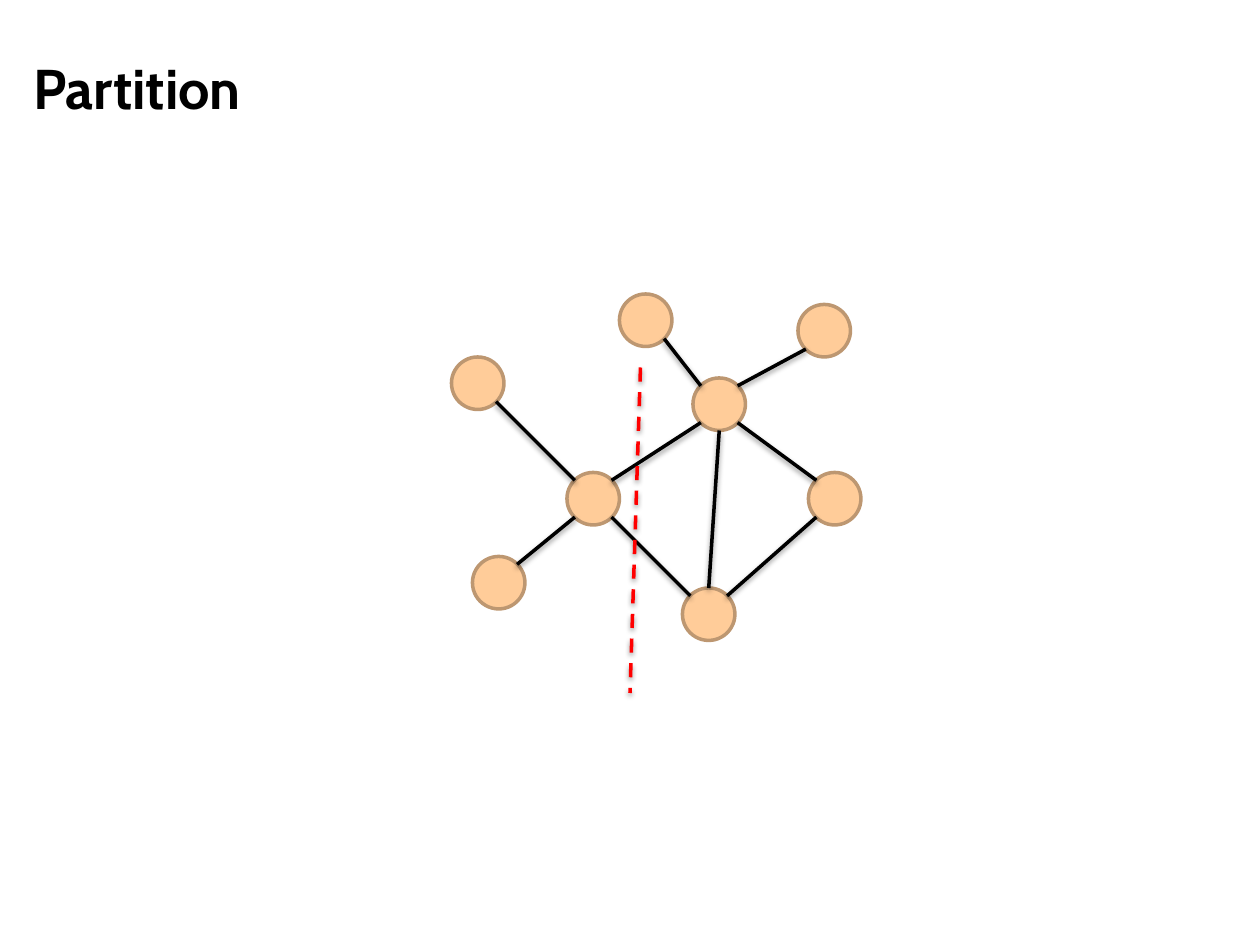
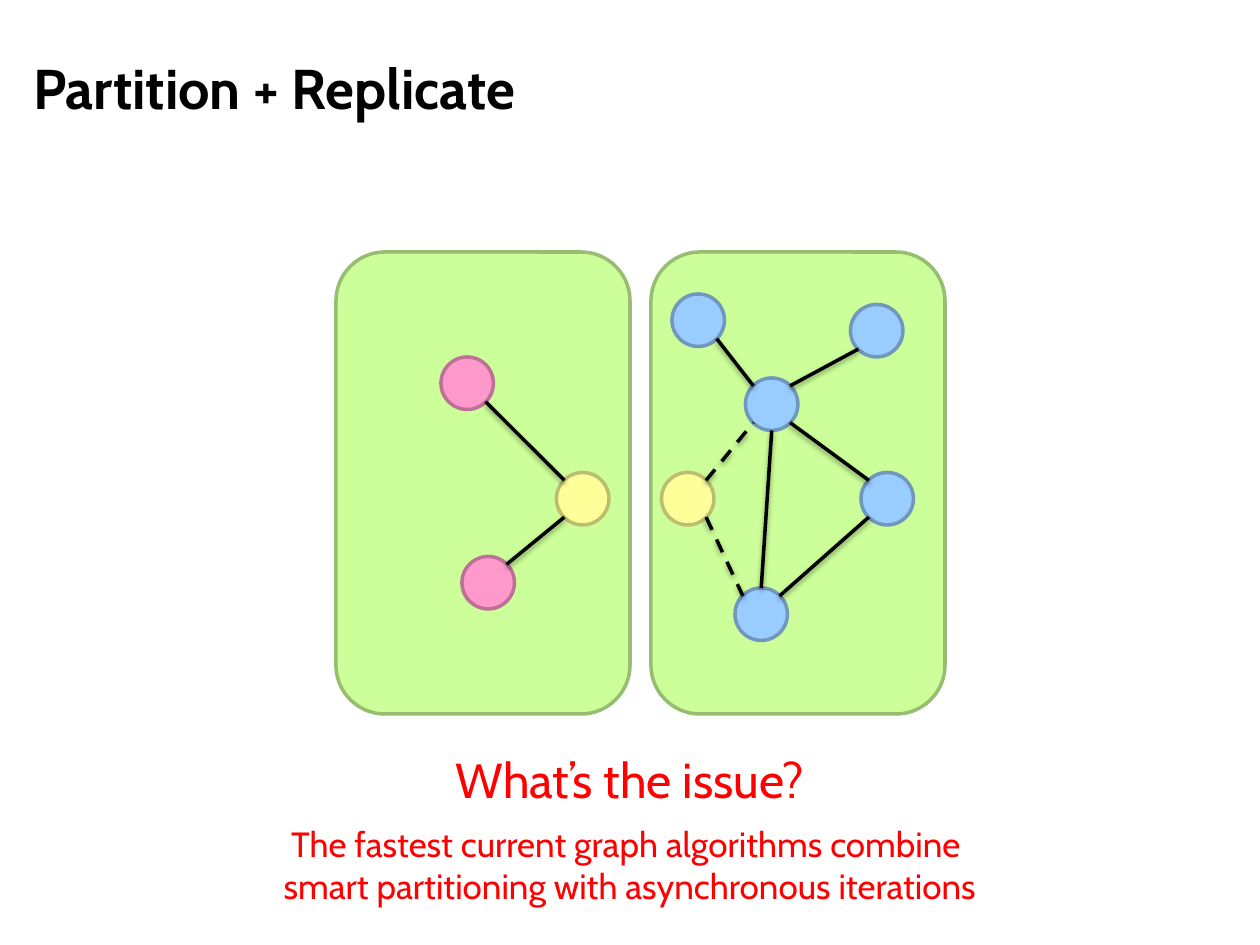
from dataclasses import dataclass

from lxml import etree
from pptx import Presentation
from pptx.dml.color import RGBColor
from pptx.enum.dml import MSO_LINE
from pptx.enum.shapes import MSO_CONNECTOR, MSO_SHAPE
from pptx.enum.text import MSO_ANCHOR, PP_ALIGN
from pptx.oxml.ns import qn
from pptx.util import Emu, Pt

ELLIPSE = MSO_SHAPE.OVAL
ROUNDED = MSO_SHAPE.ROUNDED_RECTANGLE
STRAIGHT = MSO_CONNECTOR.STRAIGHT
DASH = MSO_LINE.DASH
LEFT, CENTER = PP_ALIGN.LEFT, PP_ALIGN.CENTER
TOP, MIDDLE = MSO_ANCHOR.TOP, MSO_ANCHOR.MIDDLE

EMU_PER_PX = 9525
SLIDE_WIDTH, SLIDE_HEIGHT = 960, 720
NODE_SIZE = 40
LINE_WIDTH = Pt(2)
FONT = "Cabin"
COLORS = {
    "ink": "000000",
    "accent": "FF0000",
    "orange": "FFCC99",
    "orange_line": "BD9771",
    "pink": "FF99CC",
    "pink_line": "BD7197",
    "yellow": "FFFF99",
    "yellow_line": "BDBD71",
    "blue": "99CCFF",
    "blue_line": "7197BD",
    "green": "CCFF99",
    "green_line": "97BD71",
}
SITES = {
    "top": (20, 0),
    "bottom": (20, 40),
    "top_left": (6, 6),
    "top_right": (34, 6),
    "bottom_left": (6, 34),
    "bottom_right": (34, 34),
}


@dataclass(frozen=True)
class Box:
    left: int
    top: int
    width: int
    height: int


@dataclass(frozen=True)
class Node:
    left: int
    top: int
    color: str = "orange"

    def moved(self, shift: int, color: str) -> "Node":
        return Node(self.left + shift, self.top, color)

    def site(self, name: str) -> tuple[int, int]:
        dx, dy = SITES[name]
        return self.left + dx, self.top + dy


@dataclass(frozen=True)
class Edge:
    start: str
    start_site: str
    end: str
    end_site: str
    dashed: bool = False


@dataclass(frozen=True)
class Caption:
    lines: tuple[str, ...]
    box: Box
    size: int
    color: str = "accent"
    bold: bool = False
    align: PP_ALIGN = CENTER
    anchor: MSO_ANCHOR = TOP


LEFT_LEAVES = {"west": Node(344, 272), "southwest": Node(360, 424)}
CUT_NODE = Node(432, 360)
RIGHT_NODES = {
    "hub": Node(528, 288),
    "south": Node(520, 448),
    "north": Node(472, 224),
    "northeast": Node(608, 232),
    "east": Node(616, 360),
}
LEFT_EDGES = [
    Edge("west", "bottom_right", "cut", "top_left"),
    Edge("cut", "bottom_left", "southwest", "top_right"),
]
CROSSING_EDGES = [
    Edge("cut", "top_right", "hub", "bottom_left"),
    Edge("cut", "bottom_right", "south", "top_left"),
]
RIGHT_EDGES = [
    Edge("north", "bottom_right", "hub", "top_left"),
    Edge("northeast", "bottom_left", "hub", "top_right"),
    Edge("east", "bottom_left", "south", "top_right"),
    Edge("east", "top_left", "hub", "bottom_right"),
    Edge("hub", "bottom", "south", "top"),
]
LEFT_SHIFT, RIGHT_SHIFT = -8, 40
REPLICA = Node(504, 360, "yellow")
PANELS = [Box(left, 192, 224, 352) for left in (256, 496)]
QUESTION = Caption(("What’s the issue?",), Box(0, 566, 960, 55), 28)
ANSWER = Caption(
    (
        "The fastest current graph algorithms combine ",
        "smart partitioning with asynchronous iterations",
    ),
    Box(0, 622, 960, 74),
    20,
)


def px(length: int) -> Emu:
    return Emu(length * EMU_PER_PX)


def rgb(name: str) -> RGBColor:
    return RGBColor.from_string(COLORS[name])


def add_caption(slide, caption: Caption) -> None:
    box = caption.box
    frame = slide.shapes.add_textbox(
        px(box.left), px(box.top), px(box.width), px(box.height)
    ).text_frame
    frame.word_wrap = True
    frame.vertical_anchor = caption.anchor
    paragraph = frame.paragraphs[0]
    paragraph.alignment = caption.align
    for index, line in enumerate(caption.lines):
        if index:
            paragraph.add_line_break()
        run = paragraph.add_run()
        run.text = line
        run.font.name = FONT
        run.font.size = Pt(caption.size)
        run.font.bold = caption.bold
        run.font.color.rgb = rgb(caption.color)


def add_title(slide, title: str) -> None:
    box = Box(16, 12, 912, 108)
    add_caption(slide, Caption((title,), box, 32, "ink", True, LEFT, MIDDLE))


def add_outlined(slide, preset: MSO_SHAPE, box: Box, color: str) -> None:
    shape = slide.shapes.add_shape(
        preset, px(box.left), px(box.top), px(box.width), px(box.height)
    )
    shape.shadow.inherit = False
    shape.fill.solid()
    shape.fill.fore_color.rgb = rgb(color)
    shape.line.color.rgb = rgb(f"{color}_line")
    shape.line.width = LINE_WIDTH


def add_line(
    slide,
    start: tuple[int, int],
    end: tuple[int, int],
    color: str = "ink",
    dashed: bool = False,
) -> None:
    connector = slide.shapes.add_connector(STRAIGHT, *map(px, start + end))
    connector.line.color.rgb = rgb(color)
    connector.line.width = LINE_WIDTH
    if dashed:
        connector.line.dash_style = DASH
    effects = etree.SubElement(connector._element.spPr, qn("a:effectLst"))
    shadow = etree.SubElement(
        effects,
        qn("a:outerShdw"),
        blurRad=str(Pt(3.1)),
        dist=str(Pt(1.6)),
        dir="5400000",
        rotWithShape="0",
    )
    tint = etree.SubElement(shadow, qn("a:srgbClr"), val=COLORS["ink"])
    etree.SubElement(tint, qn("a:alpha"), val="38000")


def add_graph(slide, nodes: dict[str, Node], edges: list[Edge]) -> None:
    for node in nodes.values():
        box = Box(node.left, node.top, NODE_SIZE, NODE_SIZE)
        add_outlined(slide, ELLIPSE, box, node.color)
    for edge in edges:
        start = nodes[edge.start].site(edge.start_site)
        end = nodes[edge.end].site(edge.end_site)
        add_line(slide, start, end, dashed=edge.dashed)


def build_partition(slide) -> None:
    add_title(slide, "Partition")
    nodes = {**LEFT_LEAVES, "cut": CUT_NODE, **RIGHT_NODES}
    add_graph(slide, nodes, LEFT_EDGES + CROSSING_EDGES + RIGHT_EDGES)
    add_line(slide, (488, 280), (480, 528), "accent", True)


def build_replicate(slide) -> None:
    for panel in PANELS:
        add_outlined(slide, ROUNDED, panel, "green")
    add_title(slide, "Partition + Replicate")
    left = {key: node.moved(LEFT_SHIFT, "pink") for key, node in LEFT_LEAVES.items()}
    left["cut"] = CUT_NODE.moved(LEFT_SHIFT, "yellow")
    right = {key: node.moved(RIGHT_SHIFT, "blue") for key, node in RIGHT_NODES.items()}
    right["cut"] = REPLICA
    replica_edges = [
        Edge(edge.start, edge.start_site, edge.end, edge.end_site, True)
        for edge in CROSSING_EDGES
    ]
    add_graph(slide, left, LEFT_EDGES)
    add_graph(slide, right, replica_edges + RIGHT_EDGES)
    add_caption(slide, QUESTION)
    add_caption(slide, ANSWER)


def main() -> None:
    deck = Presentation()
    deck.slide_width = px(SLIDE_WIDTH)
    deck.slide_height = px(SLIDE_HEIGHT)
    blank = deck.slide_layouts[6]
    for build in (build_partition, build_replicate):
        build(deck.slides.add_slide(blank))
    deck.save("out.pptx")


if __name__ == "__main__":
    main()
